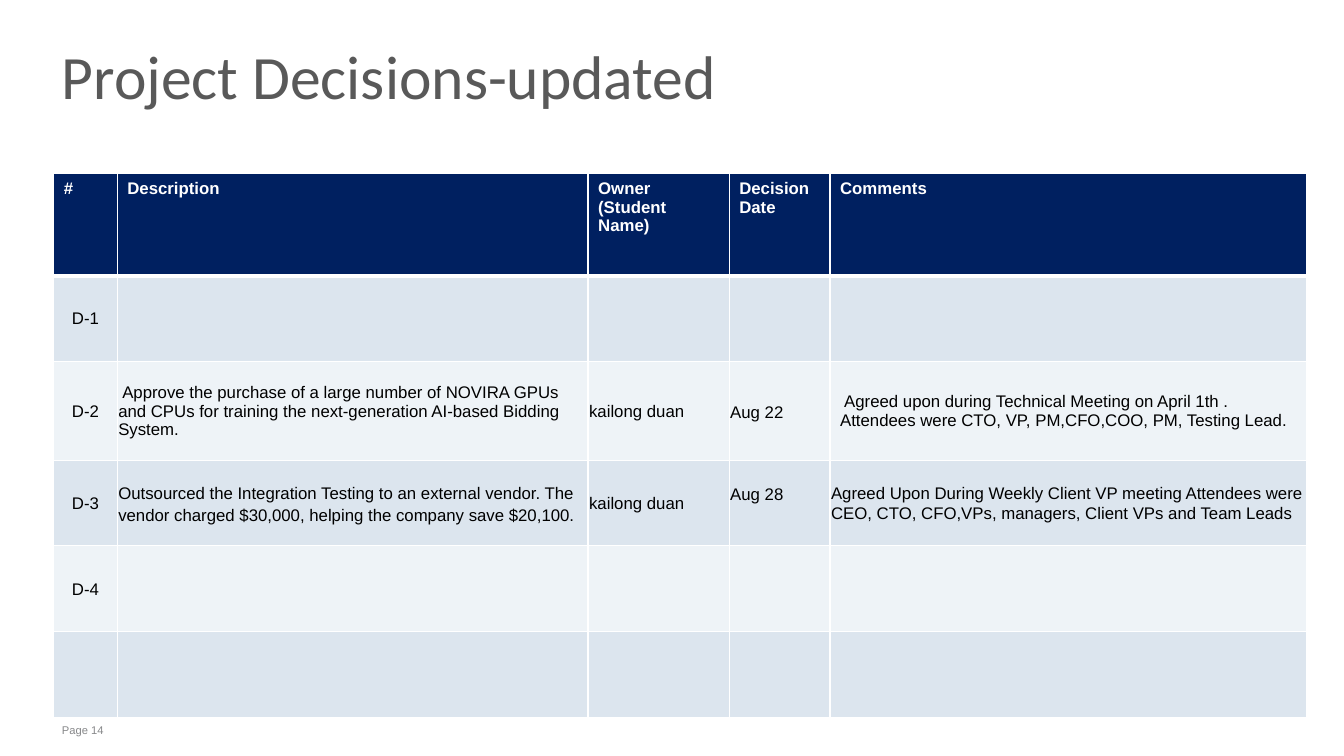
from dataclasses import dataclass

from lxml import etree
from pptx import Presentation
from pptx import util as u
from pptx.dml.color import RGBColor
from pptx.enum import text
from pptx.oxml.ns import qn


@dataclass(frozen=True)
class Theme:
    """Colours, fonts and type sizes of the slide."""
    title_font: str = "Calibri"
    body_font: str = "Arial"
    title: str = "595959"
    footer: str = "87888A"
    header: str = "002060"
    bands: tuple = ("DCE5EE", "EEF3F7")
    white: str = "FFFFFF"
    ink: str = "000000"
    title_size: int = 44
    body_size: int = 12
    footer_size: int = 8


@dataclass(frozen=True)
class Entry:
    """Text of a decision cell with its paragraph layout."""
    lines: tuple = ()
    align: object = None
    spacing: object = None
    around: int = 0
    left: float = 0
    first: float = 0
    bottom: float = 0


THEME = Theme()
WIDTH, HEIGHT = 13.33, 7.5
COLUMNS = (0.63, 4.67, 1.4, 1, 4.73)
ROWS = (1.01, 0.85, 0.98, 0.85, 0.85, 0.85)
HEADERS = ("#", "Description", "Owner\n(Student Name)", "Decision Date", "Comments")
OWNER = Entry(("kailong duan",))
DECISIONS = (
    ("D-1", ()),
    ("D-2", (
        Entry(("Approve the purchase of a large number of NOVIRA GPUs and CPUs for "
               "training the next-generation AI-based Bidding System.",), first=0.04),
        OWNER,
        Entry(("Aug 22",), spacing=1.15),
        Entry(("Agreed upon during Technical Meeting on April 1th .",
               "Attendees were CTO, VP, PM,CFO,COO, PM, Testing Lead."),
              left=0.09, first=0.04),
    )),
    ("D-3", (
        Entry(("Outsourced the Integration Testing to an external vendor. The vendor "
               "charged $30,000, helping the company save $20,100.",),
              spacing=1.15, around=12),
        OWNER,
        Entry(("Aug 28",), spacing=1.15, bottom=0.2),
        Entry(("Agreed Upon During Weekly Client VP meeting Attendees were CEO, CTO, "
               "CFO,VPs, managers, Client VPs and Team Leads",), spacing=u.Pt(14.2)),
    )),
    ("D-4", ()),
    ("", ()),
)


def style(p, font, size, color, bold=False):
    """Format every run of a paragraph."""
    for r in p.runs:
        r.font.name, r.font.size, r.font.bold = font, u.Pt(size), bold
        r.font.color.rgb = RGBColor.from_string(color)


def set_margins(box, left, top, right, bottom):
    """Set the inner margins of a cell or text frame in inches."""
    box.margin_left, box.margin_top = u.Inches(left), u.Inches(top)
    box.margin_right, box.margin_bottom = u.Inches(right), u.Inches(bottom)


def add_label(slide, area, content, font, size, color, inset=0.0, spacing=None):
    """Add a one-line text box placed by shares of the slide."""
    x, y, w, h = area
    sp = slide.shapes.add_textbox(u.Inches(x * WIDTH), u.Inches(y * HEIGHT),
                                  u.Inches(w * WIDTH), u.Inches(h * HEIGHT))
    tf = sp.text_frame
    tf.word_wrap = True
    set_margins(tf, 0.08, inset, 0.08, inset)
    tf.text = content
    p = tf.paragraphs[0]
    p.line_spacing = spacing
    style(p, font, size, color)
    return tf


def paint_cell(cell, fill, top=1, bottom=1):
    """Give a cell white borders and a solid fill."""
    tc_pr = cell._tc.get_or_add_tcPr()
    for side, width in (("L", 1), ("R", 1), ("T", top), ("B", bottom)):
        line = etree.SubElement(tc_pr, qn(f"a:ln{side}"), w=str(u.Pt(width)))
        solid = etree.SubElement(line, qn("a:solidFill"))
        etree.SubElement(solid, qn("a:srgbClr"), val=THEME.white)
    cell.fill.solid()
    cell.fill.fore_color.rgb = RGBColor.from_string(fill)


def fill_header(cell, heading):
    """Write a column heading."""
    paint_cell(cell, THEME.header, bottom=3)
    set_margins(cell, 0.1, 0.05, 0.1, 0.05)
    cell.text_frame.text = heading
    for p in cell.text_frame.paragraphs:
        style(p, THEME.body_font, THEME.body_size, THEME.white, bold=True)


def fill_entry(cell, entry):
    """Write a decision entry, with the first line indented if asked."""
    cell.vertical_anchor = text.MSO_ANCHOR.MIDDLE
    set_margins(cell, 0.01, 0.01, 0.01, entry.bottom)
    cell.text_frame.text = "\n".join(entry.lines)
    for i, p in enumerate(cell.text_frame.paragraphs):
        p_pr = p._p.get_or_add_pPr()
        p_pr.set("marL", str(u.Inches(entry.left)))
        p_pr.set("indent", str(u.Inches(0 if i else entry.first)))
        p.alignment, p.line_spacing = entry.align, entry.spacing
        p.space_after = u.Pt(entry.around)
        style(p, THEME.body_font, THEME.body_size, THEME.ink)


def add_decisions(slide, x, y):
    """Add the decision table at a position given in shares of the slide."""
    frame = slide.shapes.add_table(
        len(ROWS), len(COLUMNS), u.Inches(x * WIDTH), u.Inches(y * HEIGHT),
        u.Inches(sum(COLUMNS)), u.Inches(sum(ROWS)))
    table = frame.table
    table.first_row = table.horz_banding = False
    for column, width in zip(table.columns, COLUMNS):
        column.width = u.Inches(width)
    for row, height in zip(table.rows, ROWS):
        row.height = u.Inches(height)
    for c, heading in enumerate(HEADERS):
        fill_header(table.cell(0, c), heading)
    for r, (number, entries) in enumerate(DECISIONS, start=1):
        for c in range(len(COLUMNS)):
            paint_cell(table.cell(r, c), THEME.bands[(r - 1) % 2], top=3 if r == 1 else 1)
        if number:
            fill_entry(table.cell(r, 0), Entry((number,), align=text.PP_ALIGN.CENTER))
        for c, entry in enumerate(entries, start=1):
            fill_entry(table.cell(r, c), entry)


def main():
    """Build the project decisions slide."""
    prs = Presentation()
    prs.slide_width, prs.slide_height = u.Inches(WIDTH), u.Inches(HEIGHT)
    slide = prs.slides.add_slide(prs.slide_layouts[6])
    add_label(slide, (0.04, 0.95, 0.81, 0.03), "Page 14", THEME.body_font,
              THEME.footer_size, THEME.footer, inset=0.05)
    title = add_label(slide, (0.04, 0.03, 0.82, 0.16), "Project Decisions-updated",
                      THEME.title_font, THEME.title_size, THEME.title, spacing=0.75)
    title.vertical_anchor = text.MSO_ANCHOR.MIDDLE
    add_decisions(slide, 0.04, 0.23)
    prs.save("out.pptx")


if __name__ == "__main__":
    main()
